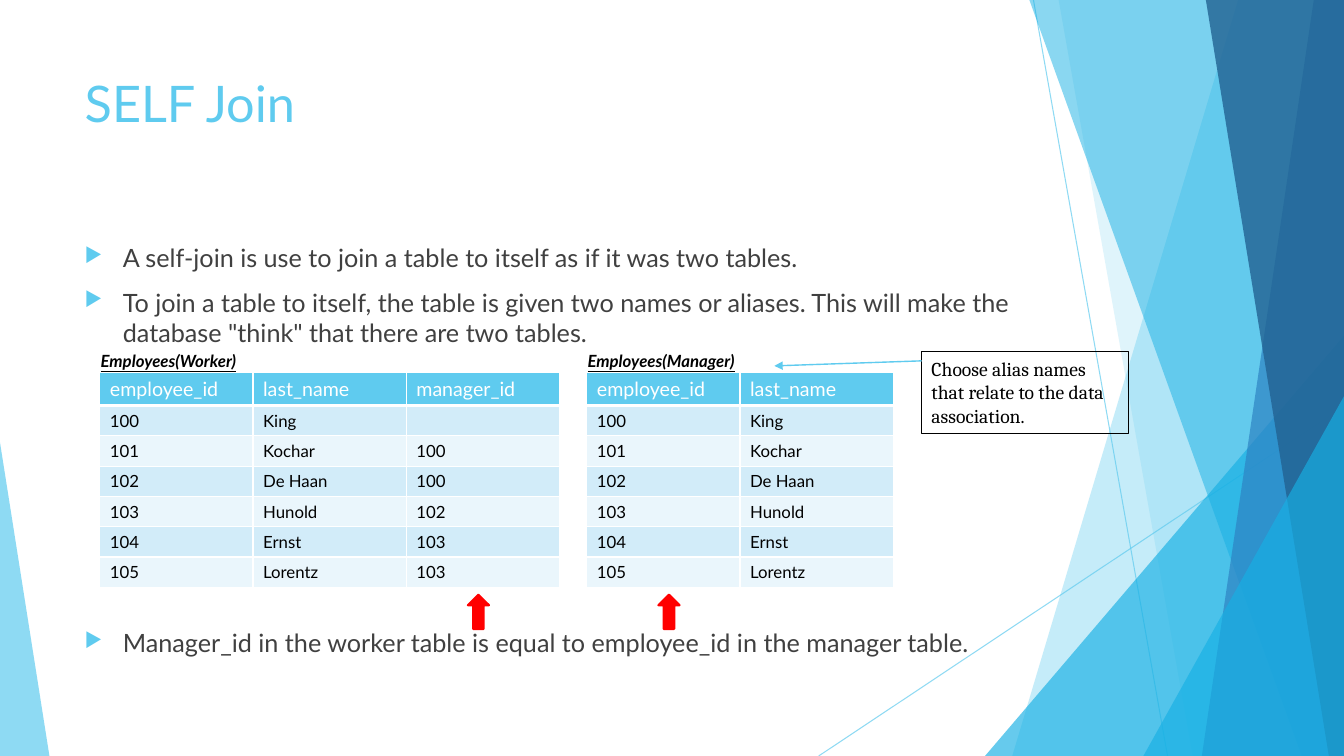
from lxml.etree import SubElement, fromstring
from pptx import Presentation
from pptx.dml.color import RGBColor
from pptx.enum.shapes import MSO_CONNECTOR, MSO_SHAPE
from pptx.enum.text import MSO_ANCHOR, PP_ALIGN
from pptx.oxml.ns import nsdecls, qn
from pptx.util import Inches, Pt

COLUMNS, ROWS = 133.33, 75
STYLE = {
    "cell": 0.1, "font": "Lato", "accent": "5FCBEF", "bright": "17B0E4",
    "body": "404040", "ink": "000000", "paper": "FFFFFF", "alert": "FF0000",
    "bands": ("D2ECF9", "EAF6FC"),
}


def rgb(hex_text):
    return RGBColor.from_string(hex_text)


def apply(target, values):
    for name, value in values.items():
        setattr(target, name, value)


class SlideBuilder:
    """Draws on one slide; lengths are columns and rows of the style's grid."""

    def __init__(self, deck, style):
        self.style = style
        self.slide = deck.slides.add_slide(deck.slide_layouts[5])
        self.shapes = self.slide.shapes

    def grid(self, *lengths):
        return [Inches(length * self.style["cell"]) for length in lengths]

    def add_words(self, paragraph, text, size, color, **format_values):
        run = paragraph.add_run()
        run.text = text
        apply(run.font, {"name": self.style["font"], "size": Pt(size), **format_values})
        run.font.color.rgb = rgb(color)
        paragraph.alignment = PP_ALIGN.LEFT

    def frame(self, shape):
        apply(shape.text_frame, {"word_wrap": True, "vertical_anchor": MSO_ANCHOR.TOP})
        return shape.text_frame

    def fade(self, element, percent):
        """Set the opacity of every solid colour inside element."""
        for color in element.iter(qn("a:srgbClr")):
            SubElement(color, qn("a:alpha"), val=str(percent * 1000))

    def paint(self, shape, fill=None, opacity=None, line=None, width=0.75):
        shape.shadow.inherit = False
        if fill:
            shape.fill.solid()
            shape.fill.fore_color.rgb = rgb(fill)
        else:
            shape.fill.background()
        if opacity:
            self.fade(shape._element.spPr, opacity)
        if line:
            shape.line.color.rgb = rgb(line)
            shape.line.width = Pt(width)
        else:
            shape.line.fill.background()
        return shape

    def title(self, box, text):
        title = self.shapes.title
        apply(title, dict(zip(("left", "top", "width", "height"), self.grid(*box))))
        self.add_words(self.frame(title).paragraphs[0], text, 36, self.style["accent"])

    def text(self, box, text, size, color, **format_values):
        frame = self.frame(self.shapes.add_textbox(*self.grid(*box)))
        self.add_words(frame.paragraphs[0], text, size, color, **format_values)

    def bullets(self, box, items):
        """items: pairs of text and space before in points."""
        frame = self.frame(self.shapes.add_textbox(*self.grid(*box)))
        for index, (text, space) in enumerate(items):
            paragraph = frame.add_paragraph() if index else frame.paragraphs[0]
            paragraph.space_before = Pt(space)
            self.add_words(paragraph, text, 18, self.style["body"])
            properties = paragraph._p.get_or_add_pPr()
            indent = Inches(0.38)
            properties.set("marL", str(indent))
            properties.set("indent", str(-indent))
            bullet_color = SubElement(properties, qn("a:buClr"))
            SubElement(bullet_color, qn("a:srgbClr"), val=self.style["accent"])
            SubElement(properties, qn("a:buSzPct"), val="80000")
            SubElement(properties, qn("a:buChar"), char="▶")

    def shape(self, kind, box, adjust=None, **paint):
        shape = self.shapes.add_shape(kind, *self.grid(*box))
        if adjust is not None:
            shape.adjustments[0] = adjust
        return self.paint(shape, **paint)

    def ribbon(self, top_left, top_right, bottom_right, bottom_left, **paint):
        """Four-sided band from the top edge of the slide to the bottom edge."""
        corners = [self.grid(x, y) for x, y in (
            (top_left, 0), (top_right, 0), (bottom_right, ROWS), (bottom_left, ROWS))]
        outline = self.shapes.build_freeform(*corners[0])
        outline.add_line_segments(corners[1:], close=True)
        self.paint(outline.convert_to_shape(), **paint)

    def line(self, start, end, width=0.75, opacity=None, arrow=False):
        line = self.shapes.add_connector(
            MSO_CONNECTOR.STRAIGHT, *self.grid(*start, *end))
        line.line.color.rgb = rgb(self.style["accent"])
        line.line.width = Pt(width)
        properties = line._element.spPr
        if opacity:
            self.fade(properties, opacity)
        if arrow:
            SubElement(properties.find(qn("a:ln")), qn("a:tailEnd"), type="triangle")
        SubElement(properties, qn("a:effectLst"))

    def borders(self, cell, header):
        widths = {"lnL": 1, "lnR": 1, "lnB": 1}
        if header:
            widths = {"lnL": 1, "lnR": 1, "lnT": 1, "lnB": 3}
        for index, (edge, width) in enumerate(widths.items()):
            cell._tc.get_or_add_tcPr().insert(index, fromstring(
                f'<a:{edge} {nsdecls("a")} w="{Pt(width)}"><a:solidFill>'
                f'<a:srgbClr val="{self.style["paper"]}"/></a:solidFill></a:{edge}>'))

    def table(self, left, top, records, column=15.2, header_row=3.3, row=3):
        count = len(records[0])
        height = header_row + row * (len(records) - 1)
        table = self.shapes.add_table(
            len(records), count, *self.grid(left, top, column * count, height)).table
        apply(table, {"first_row": False, "horz_banding": False})
        for table_column in table.columns:
            table_column.width = self.grid(column)[0]
        for r, record in enumerate(records):
            header = r == 0
            table.rows[r].height = self.grid(header_row if header else row)[0]
            fill = self.style["accent"] if header else self.style["bands"][(r - 1) % 2]
            size, color = (14, self.style["paper"]) if header else (12, self.style["ink"])
            for c, value in enumerate(record):
                cell = table.cell(r, c)
                cell.fill.solid()
                cell.fill.fore_color.rgb = rgb(fill)
                self.borders(cell, header)
                paragraph = cell.text_frame.paragraphs[0]
                if value:
                    self.add_words(paragraph, value, size, color)
                else:
                    SubElement(paragraph._p, qn("a:endParaRPr"), sz=str(size * 100))


def draw_backdrop(page):
    accent, bright = page.style["accent"], page.style["bright"]
    triangle = MSO_SHAPE.ISOSCELES_TRIANGLE
    page.line((102.5, 0), (115.8, ROWS), opacity=70)
    page.line((COLUMNS, 40.3), (81.2, ROWS), opacity=70)
    page.ribbon(122.8, COLUMNS, COLUMNS, 100.4, fill=accent, opacity=36)
    page.ribbon(105, COLUMNS, COLUMNS, 118.3, fill=accent, opacity=20)
    page.shape(triangle, (97.7, 33.3, 35.6, 41.7), 1, fill=bright, opacity=66)
    page.ribbon(102.1, COLUMNS, COLUMNS, 129.1, fill=bright, opacity=50)
    page.ribbon(130.3, COLUMNS, COLUMNS, 119.2, fill="2E83C3", opacity=70)
    page.ribbon(119.6, COLUMNS, COLUMNS, 131.8, fill="226292", opacity=80)
    page.shape(triangle, (113.4, 39.3, 19.9, 35.7), 1, fill=bright, opacity=66)
    page.shape(triangle, (0, 43.9, 4.9, 31.1), 0, fill=accent, opacity=70)


def main():
    deck = Presentation()
    deck.slide_width, deck.slide_height = Inches(13.33), Inches(7.5)
    page = SlideBuilder(deck, STYLE)
    draw_backdrop(page)
    page.title((7.4, 6.7, 94, 14.4), "SELF Join")
    page.bullets((7.4, 23.6, 94, 42.4), [
        ("A self-join is use to join a table to itself as if it was two tables.", 10),
        ("To join a table to itself, the table is given two names or aliases. "
         'This will make the database "think" that there are two tables.', 10),
        ("Manager_id in the worker table is equal to employee_id in the manager table.", 200),
    ])

    workers = [
        ("employee_id", "last_name", "manager_id"),
        ("100", "King", ""), ("101", "Kochar", "100"), ("102", "De Haan", "100"),
        ("103", "Hunold", "102"), ("104", "Ernst", "103"), ("105", "Lorentz", "103"),
    ]
    managers = [worker[:2] for worker in workers]
    for alias, left, records, key_left in (
            ("Worker", 9.9, workers, 46.4), ("Manager", 58.2, managers, 65.3)):
        page.table(left, 36.9, records)
        page.shape(MSO_SHAPE.UP_ARROW, (key_left, 59, 2.1, 3.4),
                   fill=STYLE["alert"], line=STYLE["alert"], width=1.5)
        page.text((left - 0.9, 34.3, 19, 3), f"Employees({alias})", 12, STYLE["ink"],
                  bold=True, italic=True, underline=True)

    advice = page.shape(MSO_SHAPE.RECTANGLE, (91.4, 34.9, 20.5, 8.1), line=STYLE["ink"])
    page.add_words(page.frame(advice).paragraphs[0],
                   "Choose alias names that relate to the data association.",
                   14, STYLE["ink"], name="Cambria")
    page.line((91.4, 35.8), (76.8, 36.3), width=1, arrow=True)
    deck.save("out.pptx")


if __name__ == "__main__":
    main()
